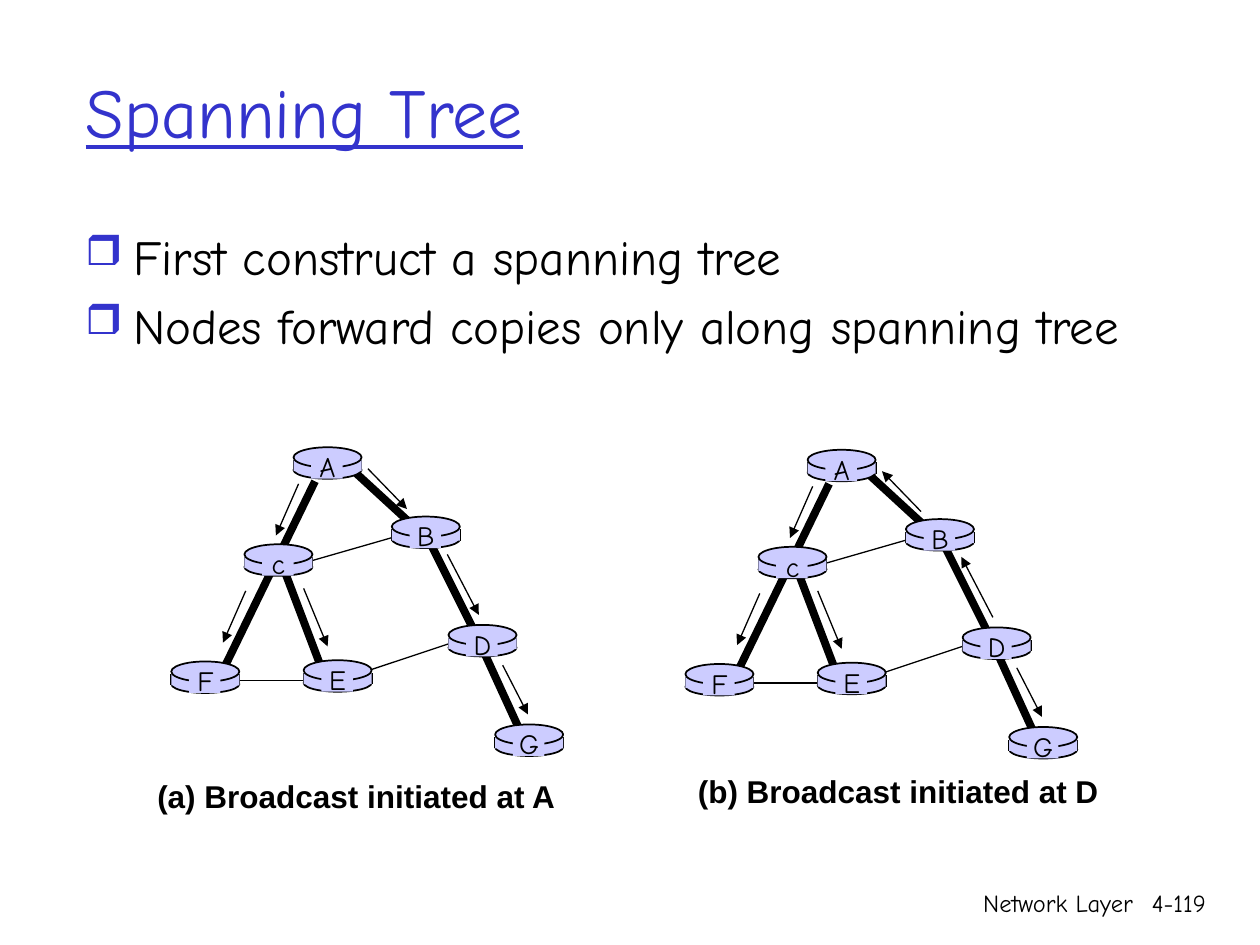
from lxml.etree import SubElement
from pptx import Presentation
from pptx.dml.color import RGBColor
from pptx.enum.shapes import MSO_CONNECTOR, MSO_SHAPE
from pptx.enum.text import MSO_ANCHOR, MSO_AUTO_SIZE, PP_ALIGN
from pptx.oxml.ns import qn
from pptx.util import Inches, Pt

THEME = {
    "accent": "3333CC", "ink": "000000", "router": "CCCCFF",
    "hand": "Comic Neue", "plain": "Arial",
    "title": 40, "bullet": 28, "caption": 18, "label": 16, "footer": 14,
    "tree": 4.5, "link": 0.75, "outline": 1,
}

TITLE = "Spanning Tree"
BULLETS = ["First construct a spanning tree",
           "Nodes forward copies only along spanning tree"]
FOOTERS = [("Network Layer", (5.92, 7, 3.17, 0.5)),
           ("4-119", (8.93, 7, 0.74, 0.5))]

# Top left corner of each router in the first tree
ROUTERS = {"A": (2.33, 3.55), "B": (3.11, 4.1), "G": (3.93, 5.75), "D": (3.56, 4.96),
           "E": (2.41, 5.24), "c": (1.94, 4.32), "F": (1.36, 5.25)}
TREE_LINKS = [((3.39, 4.26), (3.76, 5)), ((3.77, 5.02), (4.15, 5.85)),
              ((2.55, 5.3), (2.25, 4.51)), ((2.82, 3.75), (3.31, 4.2)),
              ((2.5, 3.82), (1.76, 5.34))]
OTHER_LINKS = [((3.59, 5.1), (2.93, 5.32)), ((2.58, 5.4), (1.77, 5.4)),
               ((2.44, 4.46), (3.17, 4.25))]
COPIES = {"Ac": ((2.37, 3.84), (2.19, 4.25)), "cF": ((1.95, 4.69), (1.77, 5.1)),
          "AB": ((2.92, 3.72), (3.23, 4.04)), "BD": ((3.55, 4.4), (3.8, 4.88)),
          "DG": ((3.99, 5.28), (4.19, 5.67)), "cE": ((2.41, 4.67), (2.6, 5.13))}
# Each tree: shift from the first, copies that travel upwards, caption and its place
TREES = [
    ((0, 0), (), "(a) Broadcast initiated at A", (1.15, 6.12, 3.37, 0.4)),
    ((4.08, 0.02), ("AB", "BD"), "(b) Broadcast initiated at D", (5.44, 6.08, 3.38, 0.4)),
]
# Router parts relative to its corner: shape, box, outlined
BASE = [(MSO_SHAPE.OVAL, (0, 0.11, 0.54, 0.14), True)]
FRONT = [(MSO_SHAPE.RECTANGLE, (0, 0.1, 0.54, 0.09), False),
         (MSO_SHAPE.OVAL, (0, 0, 0.54, 0.16), True),
         (MSO_SHAPE.RECTANGLE, (0.14, 0.02, 0.25, 0.23), False)]
SIDES = [((x, 0.1), (x, 0.19)) for x in (0, 0.54)]
LABEL_BOX = (0.09, -0.03, 0.36, 0.37)


def color(name):
    return RGBColor.from_string(THEME[name])


def shifted(point, shift):
    return point[0] + shift[0], point[1] + shift[1]


def write(paragraph, text, size, ink="ink", face="hand", **extra):
    run = paragraph.add_run()
    run.text = text
    run.font.color.rgb = color(ink)
    style = {"name": THEME[face], "size": Pt(THEME[size]), **extra}
    for key, value in style.items():
        setattr(run.font, key, value)


def add_text(shapes, text, box, size, align=PP_ALIGN.LEFT, wrap=True, **style):
    frame = shapes.add_textbox(*map(Inches, box)).text_frame
    frame.word_wrap = wrap
    paragraph = frame.paragraphs[0]
    paragraph.alignment = align
    write(paragraph, text, size, **style)


def add_line(shapes, ends, shift, weight, arrow=None):
    """Draw a line; arrow is the end that gets a head: headEnd or tailEnd."""
    start, end = (shifted(point, shift) for point in ends)
    line = shapes.add_connector(MSO_CONNECTOR.STRAIGHT, *map(Inches, start + end))
    line.line.color.rgb = color("ink")
    line.line.width = Pt(THEME[weight])
    properties = line.element.spPr
    if arrow:
        SubElement(properties.find(qn("a:ln")), qn(f"a:{arrow}"), type="triangle")
    SubElement(properties, qn("a:effectLst"))


def add_parts(shapes, parts, corner):
    for kind, box, outlined in parts:
        place = shifted(box, corner) + box[2:]
        part = shapes.add_shape(kind, *map(Inches, place))
        part.shadow.inherit = False
        part.fill.solid()
        part.fill.fore_color.rgb = color("router")
        if outlined:
            part.line.color.rgb = color("ink")
            part.line.width = Pt(THEME["outline"])
        else:
            part.line.fill.background()


def add_router(shapes, name, corner):
    add_parts(shapes, BASE, corner)
    for side in SIDES:
        add_line(shapes, side, corner, "outline")
    add_parts(shapes, FRONT, corner)
    add_text(shapes, name, shifted(LABEL_BOX, corner) + LABEL_BOX[2:], "label",
             PP_ALIGN.CENTER, wrap=False)


def add_tree(slide, shift, upward, caption, caption_box):
    shapes = slide.shapes.add_group_shape().shapes
    for weight, links in (("tree", TREE_LINKS), ("link", OTHER_LINKS)):
        for ends in links:
            add_line(shapes, ends, shift, weight)
    for name, corner in ROUTERS.items():
        add_router(shapes, name, shifted(corner, shift))
    for hop, ends in COPIES.items():
        add_line(shapes, ends, shift, "link", "headEnd" if hop in upward else "tailEnd")
    add_text(shapes, caption, caption_box, "caption", wrap=False, face="plain", bold=True)


def add_title(slide):
    title = slide.shapes.title
    place = dict(zip(("left", "top", "width", "height"),
                     map(Inches, (0.58, 0.25, 8.5, 1.25))))
    for key, value in place.items():
        setattr(title, key, value)
    frame = title.text_frame
    frame.auto_size = MSO_AUTO_SIZE.NONE
    frame.vertical_anchor = MSO_ANCHOR.MIDDLE
    paragraph = frame.paragraphs[0]
    paragraph.alignment = PP_ALIGN.LEFT
    write(paragraph, TITLE, "title", "accent", underline=True)


def add_bullets(slide):
    frame = slide.shapes.add_textbox(*map(Inches, (0.58, 1.75, 8.5, 2.03))).text_frame
    frame.word_wrap = True
    for index, text in enumerate(BULLETS):
        paragraph = frame.add_paragraph() if index else frame.paragraphs[0]
        if index:
            paragraph.space_before = Pt(0.2 * THEME["bullet"])
        properties = paragraph._p.get_or_add_pPr()
        properties.set("marL", str(Inches(0.38)))
        properties.set("indent", str(-Inches(0.38)))
        tint = SubElement(properties, qn("a:buClr"))
        SubElement(tint, qn("a:srgbClr"), val=THEME["accent"])
        SubElement(properties, qn("a:buSzPct"), val="85000")
        SubElement(properties, qn("a:buChar"), char="❒")
        write(paragraph, text, "bullet")


def main():
    deck = Presentation()
    deck.slide_width, deck.slide_height = Inches(10), Inches(7.5)
    slide = deck.slides.add_slide(deck.slide_layouts[5])
    for text, box in FOOTERS:
        add_text(slide.shapes, text, box, "footer", PP_ALIGN.RIGHT)
    for tree in TREES:
        add_tree(slide, *tree)
    add_title(slide)
    add_bullets(slide)
    deck.save("out.pptx")


if __name__ == "__main__":
    main()
